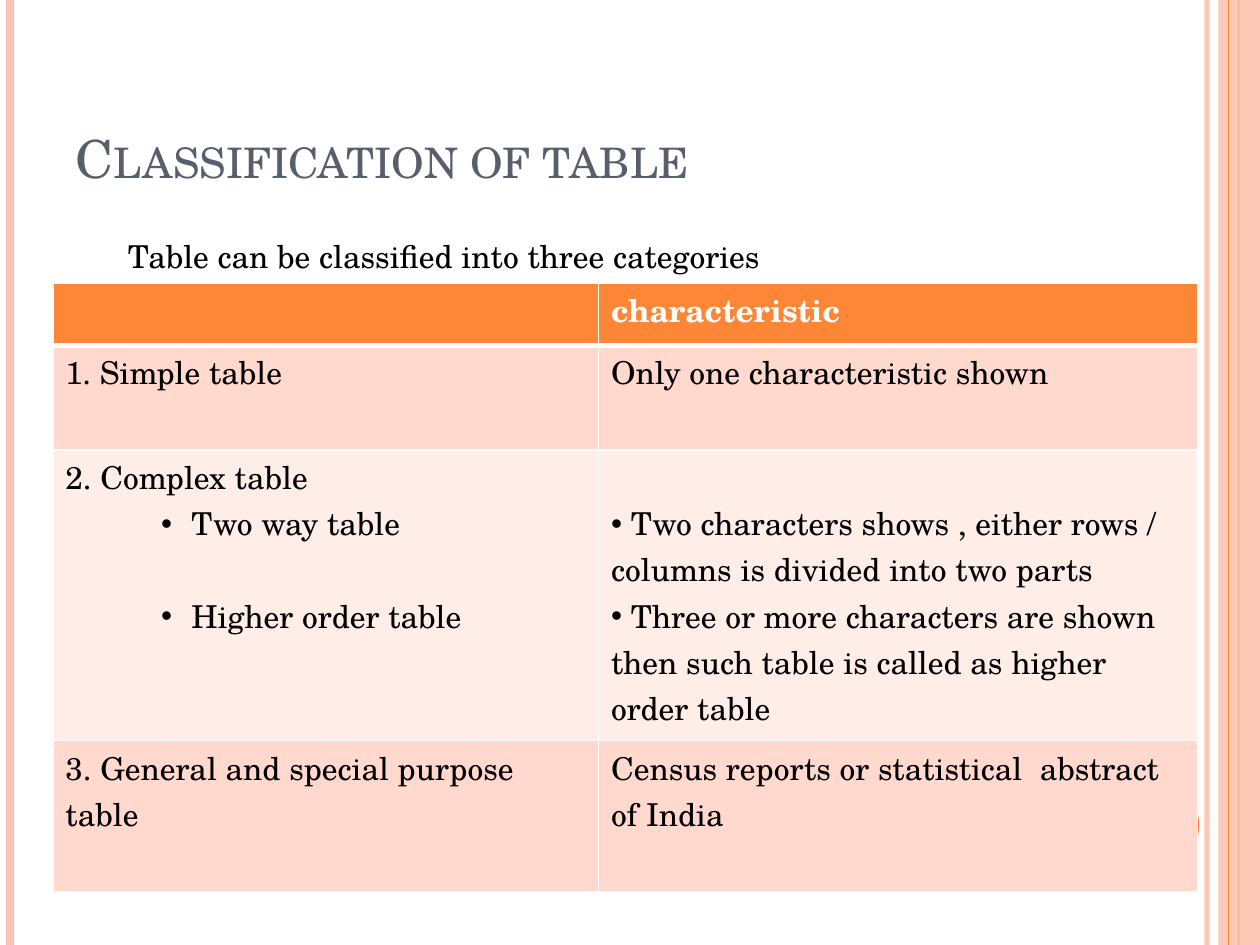
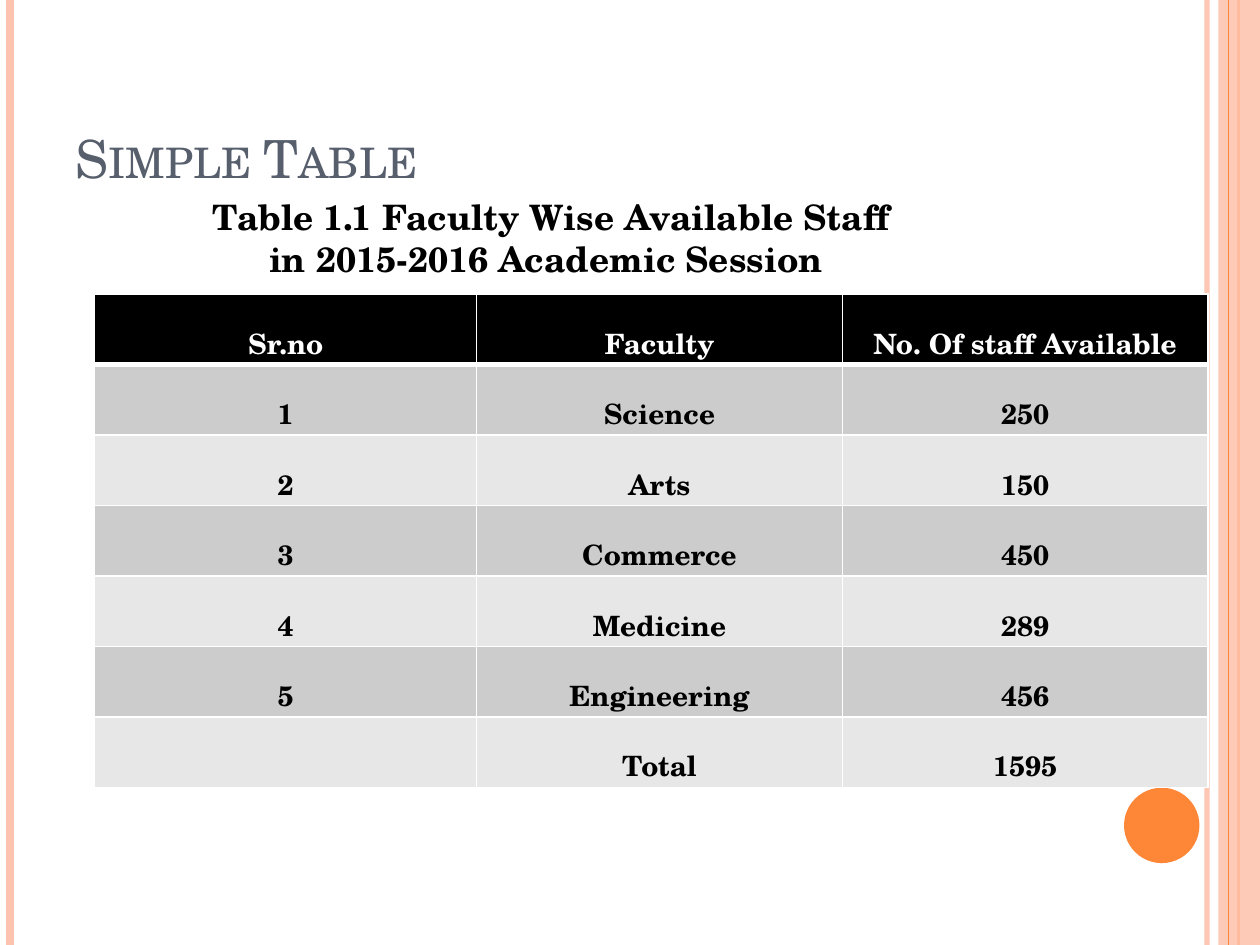
"""Build two slides on the kinds of statistical table."""
from dataclasses import dataclass, field
from typing import Any

from lxml.etree import SubElement
from pptx import Presentation
from pptx.dml.color import RGBColor
from pptx.enum.shapes import MSO_CONNECTOR, MSO_SHAPE
from pptx.enum.text import MSO_ANCHOR, PP_ALIGN
from pptx.oxml import parse_xml
from pptx.oxml.ns import nsdecls, qn
from pptx.util import Cm, Pt

FONT = "TeX Gyre Schola"
WIDE, HIGH = 25.4, 19.05
PITCH = 26.4
HEX = {
    "white": "FFFFFF", "black": "000000", "slate": "575F6D",
    "orange": "FE8637", "peach": "FEC3AE", "rose": "FFD9CE",
    "blush": "FFEDE8", "gray": "CCCCCC", "mist": "E7E7E7",
}


@dataclass
class Rule:
    x: float
    color: str
    width: float
    alpha: int = 100


@dataclass
class Item:
    text: str
    indent: float = 0
    hang: float = 0
    bullet: bool = False
    before: float = 0


@dataclass
class Grid:
    left: float
    top: float
    cols: list[float]
    rows: list[float]
    cells: list[list[Any]]
    fills: tuple[str, str, str]
    size: float
    bold: bool = False
    center: bool = False
    pitch: float | None = None
    pads: tuple[float, float, float] = (0.25, 0.13, 0.13)
    drops: dict[tuple[int, int], float] = field(default_factory=dict)


RULES = [
    Rule(24.33, "peach", 3, 93), Rule(0.2, "peach", 4.5),
    Rule(24.97, "orange", 1.5), Rule(24.77, "orange", 0.75),
]

KINDS = Grid(
    1.07, 5.72, [11, 12.07], [1.24, 2.11, 5.86, 3.04],
    [
        ["", "characteristic"],
        ["1. Simple table", "Only one characteristic shown"],
        [
            [
                Item("2. Complex table"),
                Item("Two way table", 2.54, 0.61, True),
                Item("Higher order table", 2.54, 0.61, True, PITCH),
            ],
            [
                Item(" Two characters shows , either rows / columns is "
                     "divided into two parts", bullet=True),
                Item(" Three or more characters are shown then such table "
                     "is called as higher order table", bullet=True),
            ],
        ],
        ["3. General and special purpose table",
         "Census reports or statistical  abstract of India"],
    ],
    ("orange", "rose", "blush"), 18, pitch=PITCH, pads=(0.25, 0.08, 0.1),
    drops={(2, 1): 0.93},
)

STAFF = Grid(
    1.91, 5.93, [7.7, 7.37, 7.37], [1.42] * 7,
    [
        ["Sr.no", "Faculty", "No. Of staff Available"],
        ["1", "Science", "250"],
        ["2", "Arts", "150"],
        ["3", "Commerce", "450"],
        ["4", "Medicine", "289"],
        ["5", "Engineering", "456"],
        ["", "Total", "1595"],
    ],
    ("black", "gray", "mist"), 16, bold=True, center=True,
    pads=(0.03, 0.03, 0),
)


def tint(name: str) -> RGBColor:
    """Return a palette colour."""
    return RGBColor.from_string(HEX[name])


def fade(part: Any, alpha: int) -> None:
    """Make the solid colour inside an element partly clear."""
    if alpha < 100:
        color = next(part.iter(qn("a:srgbClr")))
        SubElement(color, qn("a:alpha"), val=str(alpha * 1000))


def write(frame: Any, text: str | list[Item], *, size: float,
          color: str = "black", bold: bool = False, center: bool = False,
          caps: bool = False, pitch: float | None = None) -> None:
    """Fill a text frame with formatted paragraphs."""
    frame.word_wrap = True
    items = [Item(text)] if isinstance(text, str) else text
    for at, item in enumerate(items):
        para = frame.add_paragraph() if at else frame.paragraphs[0]
        para.alignment = PP_ALIGN.CENTER if center else PP_ALIGN.LEFT
        para.space_before = Pt(item.before)
        if pitch:
            para.line_spacing = Pt(pitch)
        props = para._p.get_or_add_pPr()
        props.set("marL", str(Cm(item.indent)))
        props.set("indent", str(-Cm(item.hang)))
        if item.bullet:
            SubElement(props, qn("a:buFont"), typeface="Arial")
            SubElement(props, qn("a:buChar"), char="•")
        run = para.add_run()
        run.text = item.text
        font = run.font
        font.name, font.size, font.bold = FONT, Pt(size), bold
        font.color.rgb = tint(color)
        if caps:
            run._r.get_or_add_rPr().set("cap", "small")


def draw(slide: Any, rule: Rule) -> None:
    """Draw one upright rule over the full height."""
    line = slide.shapes.add_connector(
        MSO_CONNECTOR.STRAIGHT, Cm(rule.x), Cm(0), Cm(rule.x), Cm(HIGH))
    line.line.color.rgb = tint(rule.color)
    line.line.width = Pt(rule.width)
    fade(line._element.spPr, rule.alpha)
    SubElement(line._element.spPr, qn("a:effectLst"))


def block(slide: Any, kind: MSO_SHAPE, box: tuple[float, ...], color: str,
          alpha: int = 100) -> None:
    """Draw a filled shape without outline."""
    shape = slide.shapes.add_shape(kind, *map(Cm, box))
    shape.shadow.inherit = False
    shape.fill.solid()
    shape.fill.fore_color.rgb = tint(color)
    shape.line.fill.background()
    fade(shape._element.spPr, alpha)


def start(deck: Any, title: str) -> Any:
    """Add a slide with the shared frame and a title."""
    slide = deck.slides.add_slide(deck.slide_layouts[5])
    for rule in RULES[:3]:
        draw(slide, rule)
    block(slide, MSO_SHAPE.RECTANGLE, (24.56, 0, 0.84, HIGH), "peach", 87)
    draw(slide, RULES[3])
    block(slide, MSO_SHAPE.OVAL, (22.66, 15.88, 1.52, 1.52), "orange")
    head = slide.shapes.title
    head.left, head.top = Cm(1.27), Cm(0.76)
    head.width, head.height = Cm(20.75), Cm(3.18)
    head.text_frame.vertical_anchor = MSO_ANCHOR.BOTTOM
    write(head.text_frame, title, size=30, color="slate", caps=True)
    return slide


def label(slide: Any, box: tuple[float, ...], text: str, **style: Any) -> None:
    """Add a text box."""
    write(slide.shapes.add_textbox(*map(Cm, box)).text_frame, text, **style)


def edge(cell: Any, row: int) -> None:
    """Give a cell white borders, thick below the header."""
    props = cell._tc.get_or_add_tcPr()
    thick = {(0, "B"), (1, "T")}
    for at, side in enumerate("LRTB"):
        width = Pt(3 if (row, side) in thick else 1)
        props.insert(at, parse_xml(
            f'<a:ln{side} {nsdecls("a")} w="{width}"><a:solidFill>'
            f'<a:srgbClr val="{HEX["white"]}"/></a:solidFill></a:ln{side}>'))


def table(slide: Any, grid: Grid) -> None:
    """Draw a table with a header and banded rows."""
    body = slide.shapes.add_table(
        len(grid.rows), len(grid.cols), Cm(grid.left), Cm(grid.top),
        Cm(sum(grid.cols)), Cm(sum(grid.rows))).table
    for col, width in zip(body.columns, grid.cols):
        col.width = Cm(width)
    side, top, base = grid.pads
    for row, height in enumerate(grid.rows):
        body.rows[row].height = Cm(height)
        shade = grid.fills[0 if row == 0 else 2 - row % 2]
        for col, text in enumerate(grid.cells[row]):
            cell = body.cell(row, col)
            cell.fill.solid()
            cell.fill.fore_color.rgb = tint(shade)
            edge(cell, row)
            cell.margin_left = cell.margin_right = Cm(side)
            cell.margin_top = Cm(top + grid.drops.get((row, col), 0))
            cell.margin_bottom = Cm(base)
            if grid.center:
                cell.vertical_anchor = MSO_ANCHOR.BOTTOM
            if text:
                write(cell.text_frame, text, size=grid.size,
                      color="black" if row else "white",
                      bold=grid.bold or row == 0, center=grid.center,
                      pitch=grid.pitch)


def main() -> None:
    """Build and save the deck."""
    deck = Presentation()
    deck.slide_width, deck.slide_height = Cm(WIDE), Cm(HIGH)
    slide = start(deck, "Classification of table")
    table(slide, KINDS)
    label(slide, (2.33, 4.66, 14.82, 1.02),
          "Table can be classified into three categories ", size=18)
    slide = start(deck, "Simple Table")
    table(slide, STAFF)
    label(slide, (3.81, 3.81, 14.6, 2.74),
          "Table 1.1 Faculty Wise Available Staff in 2015-2016 Academic "
          "Session ", size=20, bold=True, center=True)
    deck.save("out.pptx")


main()
